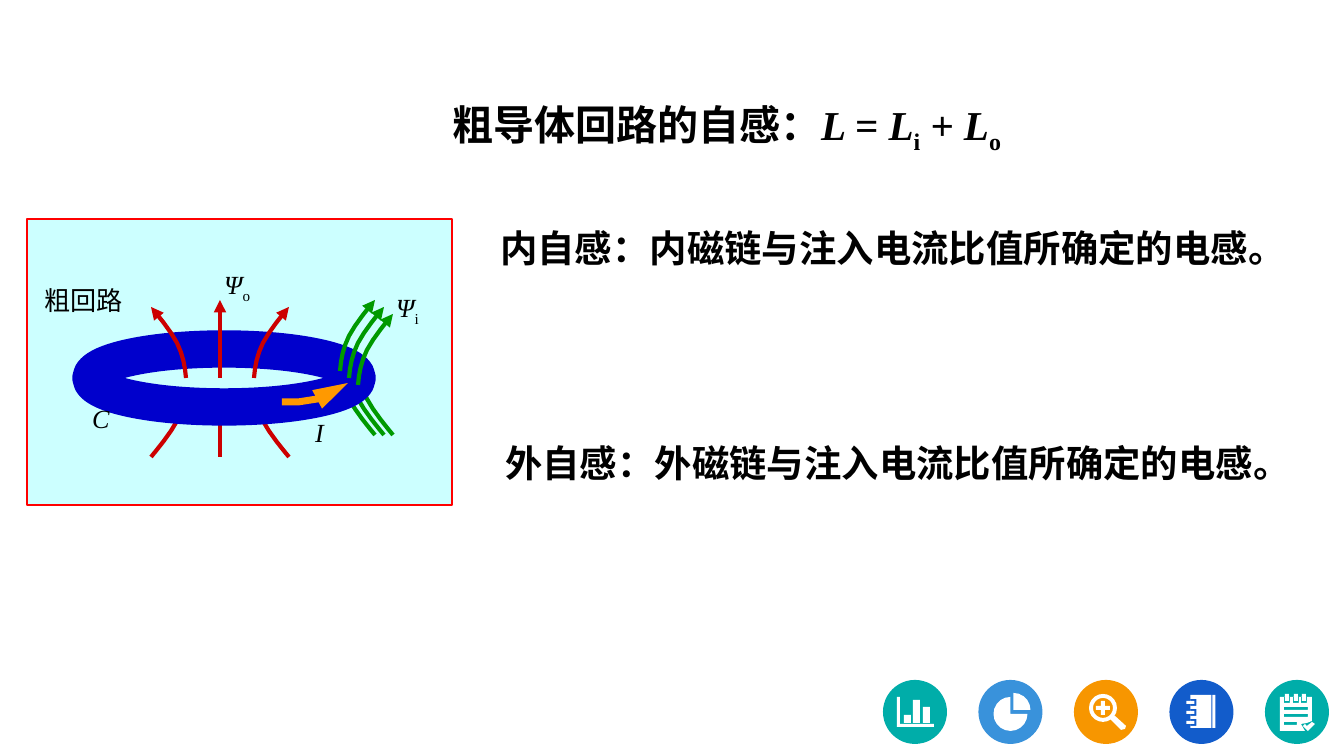
from dataclasses import dataclass
from math import cos, radians, sin

from lxml import etree
from pptx import Presentation
from pptx.dml.color import RGBColor
from pptx.enum.shapes import MSO_CONNECTOR, MSO_SHAPE
from pptx.enum.text import MSO_AUTO_SIZE
from pptx.oxml.ns import qn
from pptx.util import Pt

PX = 914400 / 134.4
STRAIGHT = MSO_CONNECTOR.STRAIGHT
OVAL, RECTANGLE = MSO_SHAPE.OVAL, MSO_SHAPE.RECTANGLE
FIT_SHAPE = MSO_AUTO_SIZE.SHAPE_TO_FIT_TEXT


@dataclass(frozen=True)
class Theme:
    font: str = "Times New Roman"
    ink: str = "000000"
    panel: str = "CCFFFF"
    frame: str = "FF0000"
    ring: str = "0000CC"
    outer: str = "CC0000"
    inner: str = "009900"
    current: str = "FF9900"
    icon: str = "FFFFFF"
    teal: str = "00ADA9"
    sky: str = "3992DB"
    orange: str = "F79600"
    blue: str = "125CCB"
    title_size: int = 22
    body_size: int = 20
    label_size: int = 14


THEME = Theme()


def emu(*lengths):
    return [round(length * PX) for length in lengths]


def set_line(line, colour, width):
    line.color.rgb = RGBColor.from_string(colour)
    line.width = Pt(width)


def add_arrowhead(line_shape, length="med"):
    outline = line_shape.line._get_or_add_ln()
    etree.SubElement(outline, qn("a:tailEnd"), type="triangle", w="med", len=length)


def add_text(shapes, box, spans, size, bold=False):
    """Add one paragraph of (text, style) spans; style may be "i" or "sub"."""
    frame = shapes.add_textbox(*emu(*box)).text_frame
    frame.word_wrap = True
    frame.auto_size = FIT_SHAPE
    para = frame.paragraphs[0]
    for text, style in spans:
        span = para.add_run()
        span.text = text
        formats = {"name": THEME.font, "size": Pt(size), "bold": bold, "italic": style == "i"}
        for name, value in formats.items():
            setattr(span.font, name, value)
        span.font.color.rgb = RGBColor.from_string(THEME.ink)
        if style == "sub":
            span._r.get_or_add_rPr().set("baseline", "-25000")


def add_preset(shapes, kind, box, fill, line=None):
    shape = shapes.add_shape(kind, *emu(*box))
    shape.shadow.inherit = False
    shape.fill.solid()
    shape.fill.fore_color.rgb = RGBColor.from_string(fill)
    if line:
        set_line(shape.line, *line)
    else:
        shape.line.fill.background()


def add_outline(shapes, contours, close):
    builder = None
    for first, *rest in contours:
        if builder is None:
            builder = shapes.build_freeform(*emu(*first), scale=1.0)
        else:
            builder.move_to(*emu(*first))
        builder.add_line_segments([emu(*point) for point in rest], close=close)
    shape = builder.convert_to_shape()
    shape.shadow.inherit = False
    return shape


def bezier_points(points, steps=4):
    """Sample a chain of cubic curves: a start, then three points per curve."""
    sampled = [points[0]]
    for start in range(0, len(points) - 1, 3):
        a, b, c, d = points[start:start + 4]
        for step in range(1, steps + 1):
            t = step / steps
            weights = ((1 - t) ** 3, 3 * t * (1 - t) ** 2, 3 * t * t * (1 - t), t ** 3)
            sampled.append(tuple(
                sum(w * p[axis] for w, p in zip(weights, (a, b, c, d))) for axis in (0, 1)))
    return sampled


def add_curve(shapes, points, colour, width):
    curve = add_outline(shapes, [bezier_points(points)], close=False)
    curve.fill.background()
    set_line(curve.line, colour, width)
    return curve


def add_ring_diagram(shapes, box):
    left, top, width, height = box
    parts = shapes.add_group_shape().shapes
    bend = [(0, 0), (1, 12), (3, 23), (9, 35), (15, 47), (30, 65), (35, 71)]
    red_starts = [(227, 1), (159, -1)]
    axis = 193

    def flux(x, y, colour, side=1, rising=False):
        vertical = -1 if rising else 1
        points = [(left + x + side * dx, top + y + vertical * dy) for dx, dy in bend]
        curve = add_curve(parts, points, colour, 2.25)
        if rising:
            add_arrowhead(curve)

    def axis_arrow(start, end):
        arrow = parts.add_connector(
            STRAIGHT, *emu(left + axis, top + start, left + axis, top + end))
        set_line(arrow.line, THEME.outer, 2.25)
        add_arrowhead(arrow)
        etree.SubElement(arrow._element.spPr, qn("a:effectLst"))

    add_preset(parts, RECTANGLE, box, THEME.panel, (THEME.frame, 0.75))
    for index in range(3):
        flux(313 + 9 * index, 145, THEME.inner)
    for x, side in red_starts:
        flux(x, 167, THEME.outer, side)
    axis_arrow(238, 159)
    add_preset(parts, OVAL, (left + 64, top + 130, 266, 58), THEME.panel, (THEME.ring, 20))
    axis_arrow(159, 81)
    for x, side in red_starts:
        flux(x, 159, THEME.outer, side, rising=True)

    sweep = [(255, 183), (260, 183), (265, 183), (271, 183), (300, 180), (321, 172), (321, 164)]
    current = add_curve(parts, [(left + x, top + y) for x, y in sweep], THEME.current, 3.75)
    add_arrowhead(current, "lg")
    for index in range(3):
        flux(313 + 9 * index, 152 + 7 * index, THEME.inner, rising=True)

    labels = [
        (356, 66, 77, [("Ψ", "i"), ("i", "sub")]),
        (52, 177, 51, [("C", "i")]),
        (275, 191, 51, [("I", "i")]),
        (184, 43, 77, [("Ψ", "i"), ("o", "sub")]),
        (4, 59, 129, [("粗回路", "")]),
    ]
    for x, y, label_width, spans in labels:
        add_text(parts, (left + x, top + y, label_width, 52), spans, THEME.label_size)


def arc(x, y, radius, start=0, end=360):
    return [(x + radius * cos(radians(angle)), y + radius * sin(radians(angle)))
            for angle in range(start, end + 1, 18)]


def bar(x, y, width, height):
    return [(x, y), (x + width, y), (x + width, y + height), (x, y + height)]


def bar_chart_icon():
    axes = [(14, 17), (17, 17), (17, 44), (51, 44), (51, 47), (14, 47)]
    return [axes, bar(21, 35, 7, 8), bar(30, 20, 7, 23), bar(40, 27, 7, 16)]


def pie_icon():
    return [[(35, 30), *arc(35, 30, 17, 270, 360)], [(32, 34), *arc(32, 34, 17, 0, 270)]]


def magnifier_icon():
    handle = [(37, 40), (41, 36), (52, 46), (51, 49), (47, 50)]
    plus = [bar(27, 21, 4, 14), bar(22, 26, 5, 4), bar(31, 26, 5, 4)]
    return [arc(29, 28, 14), arc(29, 28, 10), handle, *plus]


def notebook_icon():
    holes = [bar(21, y, 6, 7) for y in (19, 29, 39)]
    rings = [bar(17, y, 8, 3) for y in (21, 31, 41)]
    return [bar(21, 15, 21, 33), bar(43, 15, 3, 33), *holes, *rings]


def notepad_icon():
    sheet = [(15, 17), (47, 17), (47, 41), (42, 43), (36, 44), (40, 51), (15, 51)]
    tick = [(38, 46), (40, 44), (42, 46), (47, 42), (50, 44), (43, 51)]
    holes = [bar(x, 17, 6, 6) for x in (19, 28, 36)]
    rings = [bar(x, 14, 4, 7) for x in (20, 29, 37)]
    lines = [bar(19, 27, 24, 3), bar(19, 34, 24, 3), bar(19, 42, 13, 3)]
    return [sheet, tick, *holes, *rings, *lines]


def add_icon_row(shapes, box):
    left, top, width, size = box
    icons = [(THEME.teal, bar_chart_icon), (THEME.sky, pie_icon), (THEME.orange, magnifier_icon),
             (THEME.blue, notebook_icon), (THEME.teal, notepad_icon)]
    pitch = (width - size) / (len(icons) - 1)
    for index, (colour, icon) in enumerate(icons):
        x = left + index * pitch
        parts = shapes.add_group_shape().shapes
        add_preset(parts, OVAL, (x, top, size, size), colour)
        contours = [[(x + dx, top + dy) for dx, dy in contour] for contour in icon()]
        glyph = add_outline(parts, contours, close=True)
        glyph.fill.solid()
        glyph.fill.fore_color.rgb = RGBColor.from_string(THEME.icon)
        glyph.line.fill.background()


def main():
    deck = Presentation()
    deck.slide_width, deck.slide_height = emu(1344, 756)
    shapes = deck.slides.add_slide(deck.slide_layouts[6]).shapes
    formula = [("粗导体回路的自感：", ""), ("L = L", "i"), ("i", "sub"), (" + L", "i"), ("o", "sub")]
    add_text(shapes, (439, 93, 773, 63), formula, THEME.title_size, bold=True)
    definitions = [((487, 219, 863, 59), "内自感：内磁链与注入电流比值所确定的电感。"),
                   ((492, 434, 831, 59), "外自感：外磁链与注入电流比值所确定的电感。")]
    for box, text in definitions:
        add_text(shapes, box, [(text, "")], THEME.body_size, bold=True)
    add_ring_diagram(shapes, (27, 219, 425, 286))
    add_icon_row(shapes, (883, 680, 446, 64))
    deck.save("out.pptx")


if __name__ == "__main__":
    main()
